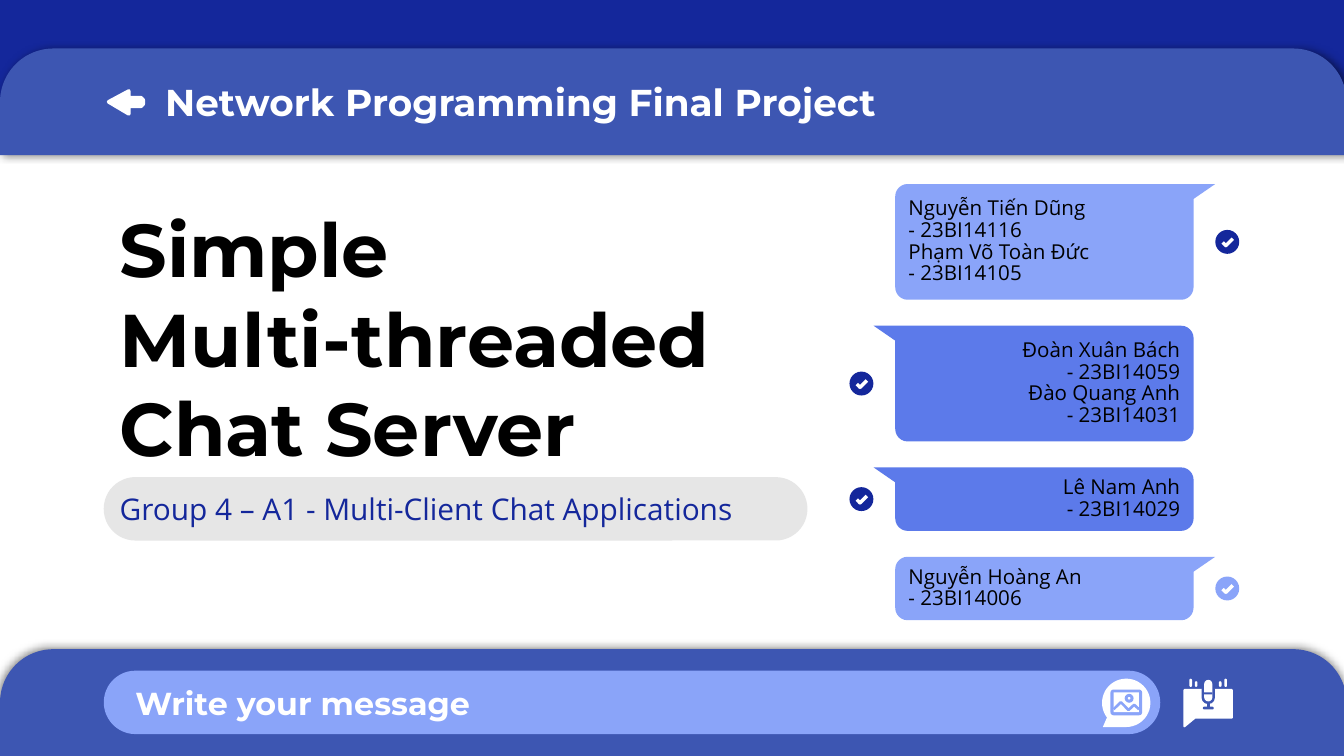
from math import cos, radians, sin

from lxml import etree
from pptx import Presentation
from pptx.dml.color import RGBColor
from pptx.enum.shapes import MSO_SHAPE
from pptx.enum.text import MSO_ANCHOR, MSO_AUTO_SIZE, PP_ALIGN
from pptx.oxml import parse_xml
from pptx.util import Pt

RECT, OVAL = MSO_SHAPE.RECTANGLE, MSO_SHAPE.OVAL
ROUND, ROUND_TOP = MSO_SHAPE.ROUNDED_RECTANGLE, MSO_SHAPE.ROUND_2_SAME_RECTANGLE
LEFT, RIGHT = PP_ALIGN.LEFT, PP_ALIGN.RIGHT
TOP, MIDDLE, BOTTOM = MSO_ANCHOR.TOP, MSO_ANCHOR.MIDDLE, MSO_ANCHOR.BOTTOM
DRAWING = "http://schemas.openxmlformats.org/drawingml/2006/main"

NAVY, BLUE, MID, LIGHT = "14279B", "3D56B2", "5C7AEA", "8AA4F9"
GREY, WHITE, BLACK = "E6E6E6", "FFFFFF", "000000"
HEAD_FONT, BODY_FONT = "Montserrat", "Open Sans"

TITLE = ["Simple", "Multi-threaded Chat Server"]
SUBTITLE = "Group 4 – A1 - Multi-Client Chat Applications"
LABELS = [
    ("Network Programming Final Project", (81.4, 35.3, 434, 39), 20),
    ("Write your message", (65.5, 359.3, 268.5, 34), 17),
]
MESSAGES = [
    (["Nguyễn Tiến Dũng", "- 23BI14116", "Phạm Võ Toàn Đức", "- 23BI14105"], RIGHT, NAVY),
    (["Đoàn Xuân Bách", "- 23BI14059", "Đào Quang Anh", "- 23BI14031"], LEFT, NAVY),
    (["Lê Nam Anh", "- 23BI14029"], LEFT, NAVY),
    (["Nguyễn Hoàng An", "- 23BI14006"], RIGHT, LIGHT),
]
BUBBLE_LEFT, BUBBLE_RIGHT, BUBBLE_TOP = 479.6, 639.4, 98.6
BUBBLE_GAP, LINE_STEP, BUBBLE_PAD = 13.9, 14, 6
TAIL_WIDTH, TAIL_HEIGHT, CORNER = 11.6, 8, 6.6
BADGE_OFFSET, BADGE_SIZE = 18.1, 12.8
TICK = [(-2.5, 0.3), (-0.8, 2), (2.9, -1.7)]

BACK_ARROW = [(58.2, 54.6), (69, 48.8), (69, 52.4), (75.5, 52.4),
              (76.7, 53.6), (76.7, 55.8), (75.5, 57), (69, 57), (69, 61)]
PICTURE_TAIL = [(590.8, 389.5), (603.4, 389.5), (603.4, 380), (593, 384.5)]
PICTURE_ICON = [
    (OVAL, (590.4, 363.6, 25.9, 25.9), WHITE),
    (ROUND, (594.9, 369.4, 17, 13.8), LIGHT),
    (RECT, (596.6, 371, 13.6, 10.6), WHITE),
    (OVAL, (602.5, 371.7, 4.8, 4.8), LIGHT),
    (OVAL, (604.2, 373.4, 1.4, 1.4), WHITE),
]
HILLS = [(596.6, 380), (600.5, 376.2), (604.6, 380.4), (607.6, 377.6), (610.2, 380)]
VOICE_BUBBLE = [(634.5, 369.6), (660, 369.6), (660, 384.5), (640.2, 384.5), (634.5, 389.2)]
VOICE_ICON = [
    (ROUND, (643.7, 366, 7.2, 11.2), BLUE),
    (RECT, (646.6, 376.5, 1.5, 3), BLUE),
    (ROUND, (644.4, 378.6, 5.8, 1.5), BLUE),
    (ROUND, (645.1, 364.2, 4.4, 11.6), WHITE),
    (RECT, (645.1, 370.9, 4.4, 1.2), BLUE),
]
DASHES = [(637.2, 4.4), (640.1, 3), (653, 3), (655.9, 4.4)]


def color(code):
    """Turn a hex string into a colour."""
    return RGBColor.from_string(code)


def paint(shape, fill=None, line=None, width=1):
    """Set fill and line, and drop the shadow."""
    shape.shadow.inherit = False
    if fill:
        shape.fill.solid()
        shape.fill.fore_color.rgb = color(fill)
    else:
        shape.fill.background()
    if line:
        shape.line.color.rgb = color(line)
        shape.line.width = Pt(width)
        etree.SubElement(shape.line._get_or_add_ln(), f"{{{DRAWING}}}round")
    else:
        shape.line.fill.background()
    return shape


def add_block(slide, kind, frame, fill, round_off=None):
    """Add a preset shape."""
    shape = slide.shapes.add_shape(kind, *map(Pt, frame))
    if kind in (ROUND, ROUND_TOP):
        shape.adjustments[0] = 0.5 if round_off is None else round_off
    return paint(shape, fill)


def add_outline(slide, points, fill=None, line=None, width=1):
    """Add a freeform, closed when it has a fill."""
    corners = [(Pt(x), Pt(y)) for x, y in points]
    builder = slide.shapes.build_freeform(*corners[0])
    builder.add_line_segments(corners[1:], close=fill is not None)
    return paint(builder.convert_to_shape(), fill, line, width)


def add_shadow(shape, direction):
    """Give a bar its soft outer shadow."""
    effects = shape.element.spPr.find(f"{{{DRAWING}}}effectLst")
    effects.append(parse_xml(
        f'<a:outerShdw xmlns:a="{DRAWING}" blurRad="{Pt(4.5)}" dist="{Pt(1.5)}" '
        f'dir="{direction * 60000}" algn="bl" rotWithShape="0">'
        '<a:srgbClr val="000000"><a:alpha val="50000"/></a:srgbClr></a:outerShdw>'))


def write(box, paragraphs, font, size, ink, bold=False, align=LEFT, anchor=TOP, spacing=1):
    """Write paragraphs, each a list of lines, into a shape."""
    frame = box.text_frame
    frame.word_wrap = True
    frame.auto_size = MSO_AUTO_SIZE.NONE
    frame.vertical_anchor = anchor
    frame.margin_left = frame.margin_right = frame.margin_top = frame.margin_bottom = Pt(7.2)
    for index, lines in enumerate(paragraphs):
        para = frame.add_paragraph() if index else frame.paragraphs[0]
        para.alignment = align
        para.space_before = Pt(0)
        para.line_spacing = spacing
        for number, line in enumerate(lines):
            if number:
                para.add_line_break()
            span = para.add_run()
            span.text = line
            span.font.name = font
            span.font.size = Pt(size)
            span.font.bold = bold
            span.font.color.rgb = color(ink)


def place(shape, frame):
    """Move and size a placeholder."""
    shape.left, shape.top, shape.width, shape.height = map(Pt, frame)


def bubble_points(top, bottom, side):
    """Trace a speech bubble whose tail points to the given side."""
    points = [(BUBBLE_LEFT - TAIL_WIDTH, top), (BUBBLE_LEFT, top + TAIL_HEIGHT)]
    near, far = BUBBLE_LEFT + CORNER, BUBBLE_RIGHT - CORNER
    turns = [(near, bottom - CORNER, 180), (far, bottom - CORNER, 90), (far, top + CORNER, 0)]
    for x, y, start in turns:
        for step in range(0, 91, 15):
            angle = radians(start - step)
            points.append((x + CORNER * cos(angle), y + CORNER * sin(angle)))
    if side == RIGHT:
        points = [(BUBBLE_LEFT + BUBBLE_RIGHT - x, y) for x, y in points]
    return points


def add_messages(slide):
    """Stack the bubbles with their check badges."""
    top = BUBBLE_TOP
    for lines, side, badge in MESSAGES:
        bottom = top + BUBBLE_PAD + LINE_STEP * len(lines)
        fill, align = (LIGHT, LEFT) if side == RIGHT else (MID, RIGHT)
        bubble = add_outline(slide, bubble_points(top, bottom, side), fill)
        write(bubble, [[line] for line in lines], BODY_FONT, 11, BLACK,
              align=align, anchor=MIDDLE, spacing=0.88)
        x = BUBBLE_RIGHT + BADGE_OFFSET if side == RIGHT else BUBBLE_LEFT - BADGE_OFFSET
        y = (top + bottom) / 2
        half = BADGE_SIZE / 2
        add_block(slide, OVAL, (x - half, y - half, BADGE_SIZE, BADGE_SIZE), badge)
        add_outline(slide, [(x + dx, y + dy) for dx, dy in TICK], line=WHITE, width=1.8)
        top = bottom + BUBBLE_GAP


def main():
    """Build the title slide."""
    deck = Presentation()
    deck.slide_width, deck.slide_height = Pt(720), Pt(405)
    slide = deck.slides.add_slide(deck.slide_layouts[0])
    title, subtitle = slide.placeholders

    add_block(slide, RECT, (0, -0.7, 721.4, 73.4), NAVY)
    for top, direction in [(26, 0), (347.8, 237)]:
        add_shadow(add_block(slide, ROUND_TOP, (0, top, 721.4, 57.2), BLUE), direction)
    add_block(slide, ROUND, (55.6, 359.3, 566, 34), LIGHT)
    pill = add_block(slide, ROUND, (55.6, 255.6, 377, 34), GREY)
    title.element.addprevious(pill.element)

    place(title, (56.9, 122.4, 340.6, 137.5))
    write(title, [TITLE], HEAD_FONT, 40, BLACK, bold=True, anchor=BOTTOM)
    place(subtitle, (56.9, 255.6, 375.8, 39))
    write(subtitle, [[SUBTITLE]], BODY_FONT, 16, NAVY)

    add_outline(slide, BACK_ARROW, WHITE, WHITE, 2)
    add_outline(slide, VOICE_BUBBLE, WHITE, WHITE, 1)
    for x, height in DASHES:
        add_block(slide, ROUND, (x, 368 - height, 1.4, height), WHITE)
    for kind, frame, fill in VOICE_ICON:
        add_block(slide, kind, frame, fill)
    add_outline(slide, PICTURE_TAIL, WHITE)
    for kind, frame, fill in PICTURE_ICON:
        add_block(slide, kind, frame, fill, 0.12)
    add_outline(slide, HILLS, line=LIGHT, width=1.4)

    add_messages(slide)
    for label, frame, size in LABELS:
        box = slide.shapes.add_textbox(*map(Pt, frame))
        write(box, [[label]], HEAD_FONT, size, WHITE, bold=True)
    deck.save("out.pptx")


if __name__ == "__main__":
    main()
